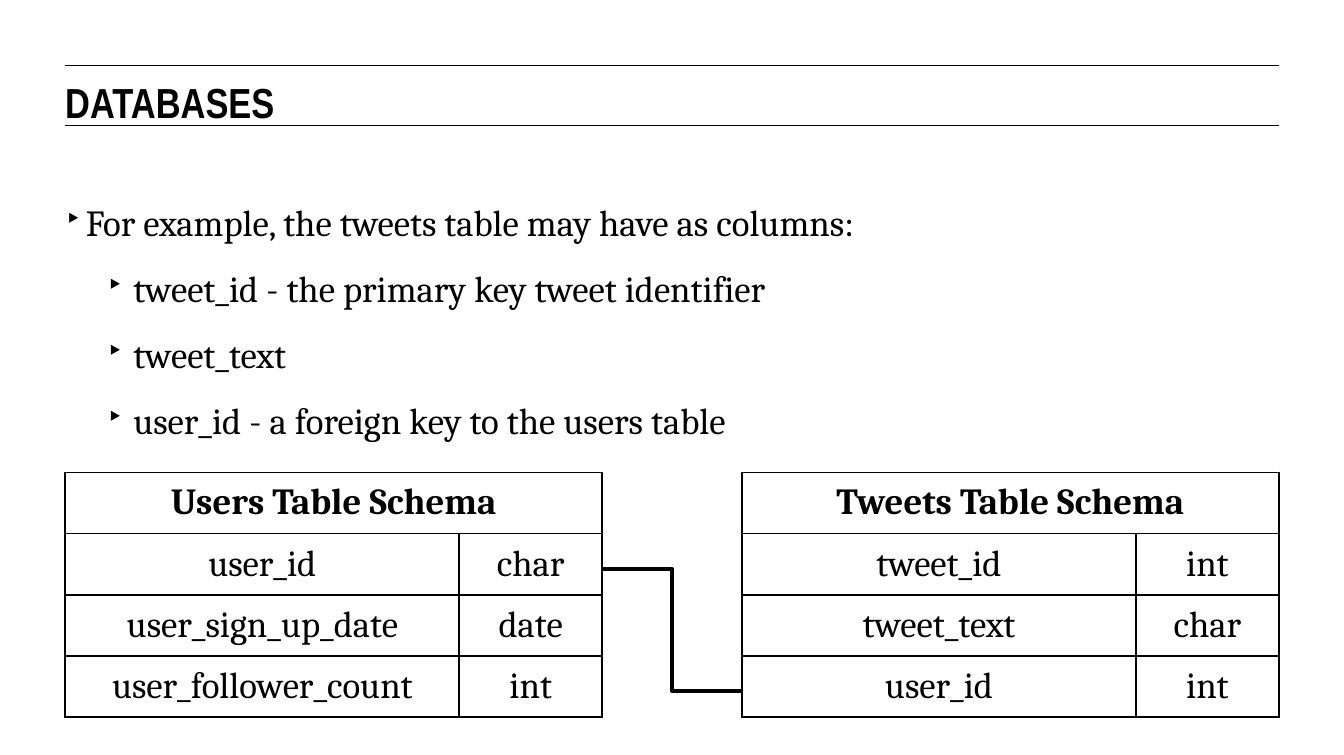
"""Build the slide on database table schemas."""
from dataclasses import dataclass

from lxml import etree
from pptx import Presentation
from pptx.dml.color import RGBColor
from pptx.enum.shapes import MSO_CONNECTOR
from pptx.enum.text import MSO_ANCHOR, PP_ALIGN
from pptx.oxml.ns import qn
from pptx.util import Inches, Pt

STRAIGHT, ELBOW = MSO_CONNECTOR.STRAIGHT, MSO_CONNECTOR.ELBOW
LEFT, CENTER = PP_ALIGN.LEFT, PP_ALIGN.CENTER
TOP = MSO_ANCHOR.TOP
COLORS = {"ink": "000000", "paper": "FFFFFF"}
SIDE_MARGIN, RIGHT_EDGE = 0.69, 13.53
CONTENT_WIDTH = 12.83
HANGING = -0.28
COLUMN_WIDTHS = (4.17, 1.51)
ROW_HEIGHT = 0.64
CELL_INSETS = {"left": 0.1, "right": 0.1, "top": 0.1, "bottom": 0.08}
TABLE_TOP = 5.0


@dataclass
class Rule:
    kind: int
    start: tuple[float, float]
    end: tuple[float, float]
    weight: float


@dataclass
class Bullet:
    text: str
    level: int


@dataclass
class Schema:
    title: str
    left: float
    fields: list[tuple[str, str]]


RULES = [
    Rule(STRAIGHT, (SIDE_MARGIN, 0.69), (RIGHT_EDGE, 0.69), 0.75),
    Rule(STRAIGHT, (SIDE_MARGIN, 1.33), (RIGHT_EDGE, 1.33), 0.75),
    Rule(ELBOW, (6.38, 6.02), (7.84, 7.31), 3),
]
BULLETS = [
    Bullet("For example, the tweets table may have as columns:", 0),
    Bullet("tweet_id - the primary key tweet identifier", 1),
    Bullet("tweet_text", 1),
    Bullet("user_id - a foreign key to the users table", 1),
]
SCHEMAS = [
    Schema("Users Table Schema", SIDE_MARGIN, [
        ("user_id", "char"), ("user_sign_up_date", "date"), ("user_follower_count", "int")]),
    Schema("Tweets Table Schema", 7.85, [
        ("tweet_id", "int"), ("tweet_text", "char"), ("user_id", "int")]),
]


def rgb(name: str) -> RGBColor:
    return RGBColor.from_string(COLORS[name])


def write(para, text: str, align=LEFT, **changes) -> None:
    para.alignment = align
    span = para.add_run()
    span.text = text
    font_format = {"name": "Cambria", "size": Pt(28), "bold": False} | changes
    for attribute, value in font_format.items():
        setattr(span.font, attribute, value)
    span.font.color.rgb = rgb("ink")


def add_text_box(page, top: float, height: float, inset_top: float = 0):
    box = page.shapes.add_textbox(
        Inches(SIDE_MARGIN), Inches(top), Inches(CONTENT_WIDTH), Inches(height))
    frame_format = {"word_wrap": True, "vertical_anchor": TOP, "margin_left": 0,
                    "margin_right": 0, "margin_top": Inches(inset_top), "margin_bottom": 0}
    for attribute, value in frame_format.items():
        setattr(box.text_frame, attribute, value)
    return box.text_frame


def add_rule(page, rule: Rule) -> None:
    line = page.shapes.add_connector(
        rule.kind, *(Inches(value) for value in rule.start + rule.end))
    line.line.color.rgb = rgb("ink")
    line.line.width = Pt(rule.weight)
    etree.SubElement(line._element.spPr, qn("a:effectLst"))


def add_bullets(page) -> None:
    frame = add_text_box(page, 1.41, 4.17, inset_top=0.47)
    for index, bullet in enumerate(BULLETS):
        para = frame.add_paragraph() if index else frame.paragraphs[0]
        para.level = bullet.level
        para.line_spacing = 1.5
        write(para, bullet.text)
        properties = para._p.get_or_add_pPr()
        properties.set("marL", str(Inches(0.22 + 0.5 * bullet.level)))
        properties.set("indent", str(Inches(HANGING)))
        bullet_color = etree.SubElement(properties, qn("a:buClr"))
        etree.SubElement(bullet_color, qn("a:srgbClr"), val=COLORS["ink"])
        etree.SubElement(properties, qn("a:buSzPct"), val="75000")
        etree.SubElement(properties, qn("a:buChar"), char="‣")


def style_cell(cell) -> None:
    for side, inset in CELL_INSETS.items():
        setattr(cell, f"margin_{side}", Inches(inset))
    cell.vertical_anchor = TOP
    properties = cell._tc.get_or_add_tcPr()
    for edge in ("a:lnL", "a:lnR", "a:lnT", "a:lnB"):
        border = etree.SubElement(properties, qn(edge), w=str(Pt(1.5)))
        border_fill = etree.SubElement(border, qn("a:solidFill"))
        etree.SubElement(border_fill, qn("a:srgbClr"), val=COLORS["ink"])
    cell.fill.background()


def add_schema(page, schema: Schema) -> None:
    row_count = len(schema.fields) + 1
    table = page.shapes.add_table(
        row_count, len(COLUMN_WIDTHS), Inches(schema.left), Inches(TABLE_TOP),
        Inches(sum(COLUMN_WIDTHS)), Inches(ROW_HEIGHT * row_count)).table
    table.first_row = table.horz_banding = False
    for column, width in zip(table.columns, COLUMN_WIDTHS):
        column.width = Inches(width)
    for row in table.rows:
        row.height = Inches(ROW_HEIGHT)
    for cell in table.iter_cells():
        style_cell(cell)
    heading = table.cell(0, 0)
    heading.merge(table.cell(0, 1))
    write(heading.text_frame.paragraphs[0], schema.title, CENTER, bold=True)
    for row_index, field in enumerate(schema.fields, start=1):
        for column_index, text in enumerate(field):
            cell = table.cell(row_index, column_index)
            write(cell.text_frame.paragraphs[0], text, CENTER)


def main() -> None:
    deck = Presentation()
    deck.slide_width, deck.slide_height = Inches(14.22), Inches(7.99)
    page = deck.slides.add_slide(deck.slide_layouts[6])
    page.background.fill.solid()
    page.background.fill.fore_color.rgb = rgb("paper")
    title = add_text_box(page, 0.81, 0.47)
    write(title.paragraphs[0], "DATABASES", name="Arial Narrow", size=Pt(32), bold=True)
    add_bullets(page)
    for schema in SCHEMAS:
        add_schema(page, schema)
    for rule in RULES:
        add_rule(page, rule)
    deck.save("out.pptx")


if __name__ == "__main__":
    main()
